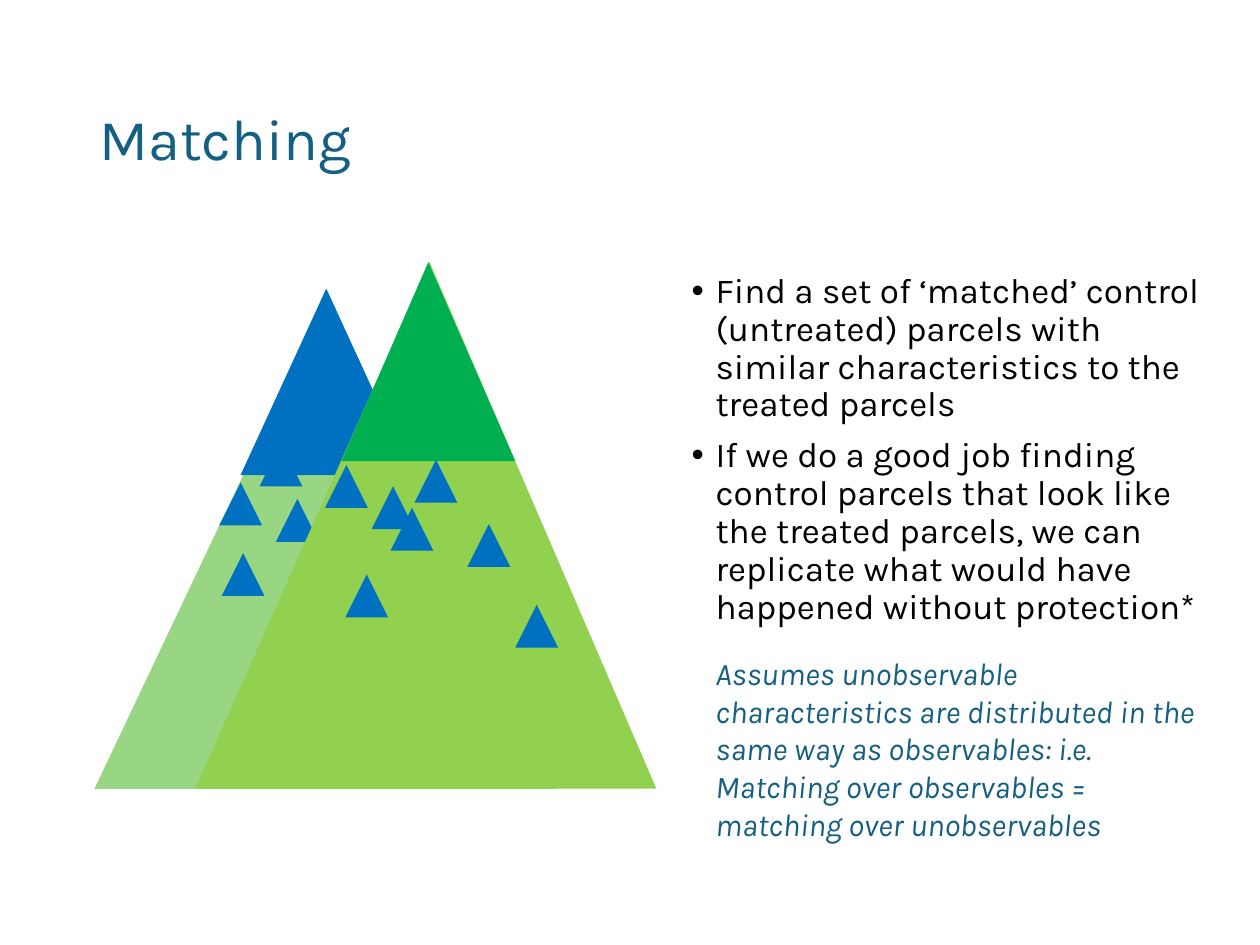
from pptx import Presentation
from pptx.dml.color import RGBColor
from pptx.enum.shapes import MSO_SHAPE
from pptx.enum.text import MSO_ANCHOR
from pptx.util import Inches, Pt
from lxml import etree

TRIANGLE = MSO_SHAPE.ISOSCELES_TRIANGLE
MIDDLE = MSO_ANCHOR.MIDDLE
TOP = MSO_ANCHOR.TOP
FONT = "Karla"
TEAL, BLACK, BLUE = "156082", "000000", "0070C0"
PARCEL_SIZE = 0.34
APEX = 0.508

TITLE = "Matching"
POINTS = [
    "Find a set of ‘matched’ control (untreated) parcels with similar "
    "characteristics to the treated parcels",
    "If we do a good job finding control parcels that look like the treated "
    "parcels, we can replicate what would have happened without protection*",
]
ASSUMPTION = (
    "Assumes unobservable characteristics are distributed in the same way as "
    "observables: i.e. Matching over observables = matching over unobservables"
)

# Mountains: left, top, width, height, colour, apex position
BACK_MOUNTAIN = (0.75, 2.34, 3.66, 3.92, "99D684", APEX)
BACK_PEAK = (1.91, 2.29, 1.36, 1.48, BLUE, 0.5)
FRONT_MOUNTAIN = (1.55, 2.08, 3.66, 4.18, "92D050", APEX)
FRONT_PEAK = (2.71, 2.08, 1.38, 1.58, "00B050", 0.5)

# Control parcels: left, top
HIDDEN_PARCEL = (2.19, 3.96)
PARCELS = [
    (1.74, 3.83), (2.06, 3.52), (2.58, 3.69), (2.95, 3.86), (3.29, 3.65),
    (3.71, 4.16), (3.1, 4.03), (4.09, 4.8), (2.74, 4.56), (1.76, 4.39),
]


def color(value):
    return RGBColor.from_string(value)


def add_triangle(slide, left, top, width, height, fill, apex=0.5):
    shape = slide.shapes.add_shape(
        TRIANGLE, Inches(left), Inches(top), Inches(width), Inches(height))
    shape.adjustments[0] = apex
    shape.shadow.inherit = False
    shape.fill.solid()
    shape.fill.fore_color.rgb = color(fill)
    shape.line.fill.background()


def add_parcel(slide, left, top):
    add_triangle(slide, left, top, PARCEL_SIZE, PARCEL_SIZE, BLUE)


def add_text(slide, box, texts, size, text_color, anchor=TOP,
             spacing=1.0, italic=False):
    frame = slide.shapes.add_textbox(*map(Inches, box)).text_frame
    frame.word_wrap = True
    frame.vertical_anchor = anchor
    frame.text = "\n".join(texts)
    for paragraph in frame.paragraphs:
        paragraph.line_spacing = spacing
        paragraph.font.name = FONT
        paragraph.font.size = Pt(size)
        paragraph.font.italic = italic
        paragraph.font.color.rgb = color(text_color)
    return frame.paragraphs


def add_bullet(paragraph):
    paragraph.space_before = Pt(7.5)
    properties = paragraph._p.get_or_add_pPr()
    properties.set("marL", str(Inches(0.19)))
    properties.set("indent", str(-Inches(0.19)))
    namespace = properties.nsmap["a"]
    bullet_font = etree.Element(f"{{{namespace}}}buFont", typeface="Arial")
    bullet = etree.Element(f"{{{namespace}}}buChar", char="•")
    # Bullets belong between the spacing and the default run properties
    default_run = properties.find(f"{{{namespace}}}defRPr")
    default_run.addprevious(bullet_font)
    default_run.addprevious(bullet)


def main():
    presentation = Presentation()
    presentation.slide_width = Inches(10)
    presentation.slide_height = Inches(7.5)
    slide = presentation.slides.add_slide(presentation.slide_layouts[6])

    # Text
    add_text(slide, (0.69, 0.4, 8.62, 1.45), [TITLE], 33, TEAL, MIDDLE, 0.9)
    for paragraph in add_text(slide, (5.39, 2.12, 4.25, 4.76), POINTS, 20,
                              BLACK, spacing=0.9):
        add_bullet(paragraph)
    add_text(slide, (5.58, 5.14, 4.06, 1.62), [ASSUMPTION], 18, TEAL,
             italic=True)

    # Mountains, back to front, with the parcels on top
    add_triangle(slide, *BACK_MOUNTAIN)
    add_parcel(slide, *HIDDEN_PARCEL)
    for mountain in (BACK_PEAK, FRONT_MOUNTAIN, FRONT_PEAK):
        add_triangle(slide, *mountain)
    for parcel in PARCELS:
        add_parcel(slide, *parcel)

    presentation.save("out.pptx")


if __name__ == "__main__":
    main()
